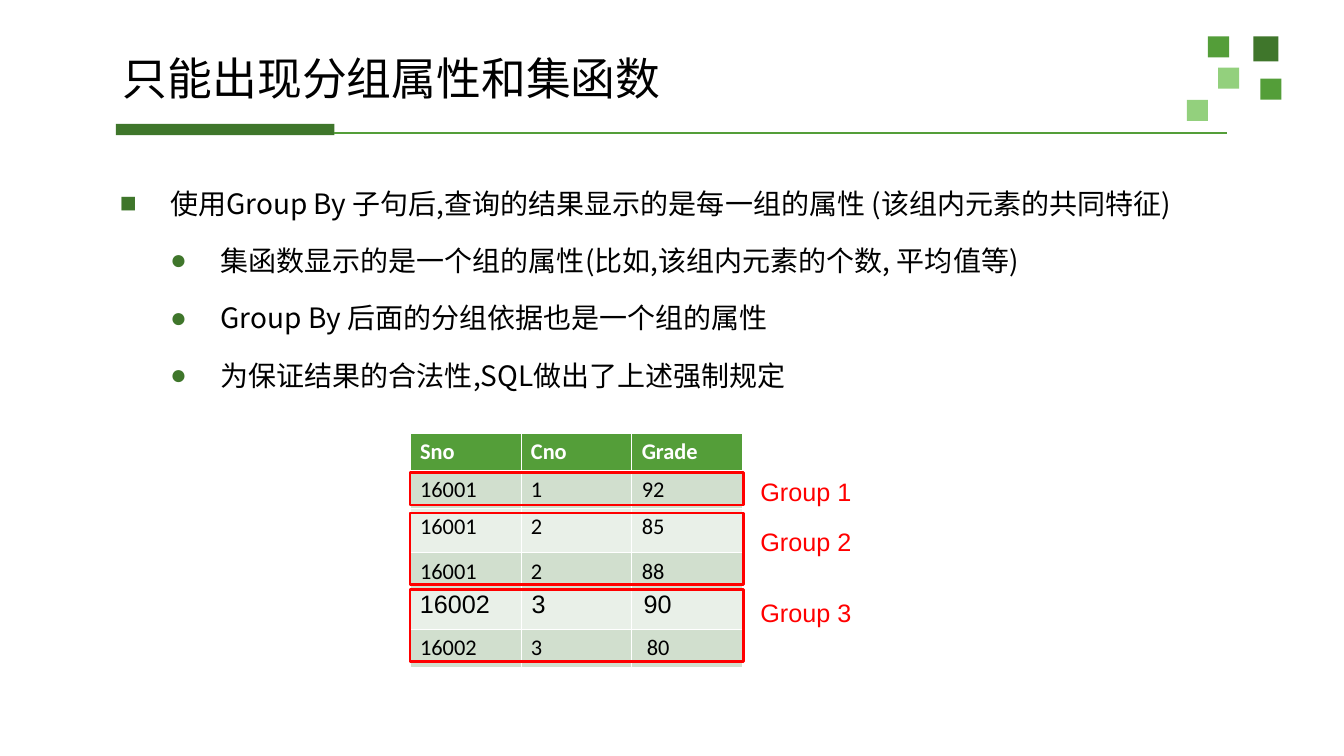
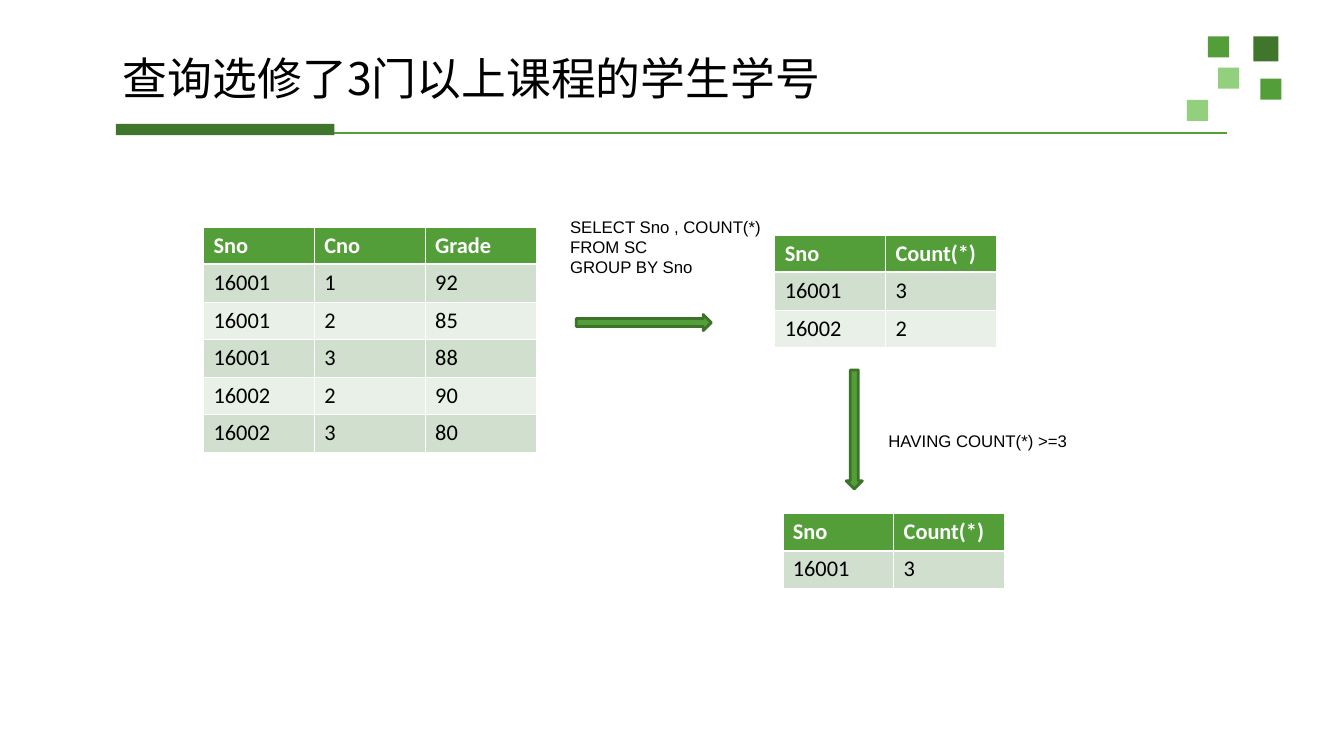
from dataclasses import dataclass

from lxml import etree
from pptx import Presentation
from pptx.dml.color import RGBColor
from pptx.enum import shapes as es, text as et
from pptx.oxml import ns
from pptx.util import Inches, Pt

DARK, GREEN, LIGHT = "3F762B", "549E39", "93D07D"
EDGE, RED, BLACK, WHITE = "3B7327", "FF0000", "000000", "FFFFFF"
BANDS = ("D1DFCE", "E9F0E8")
CJK = "Noto Sans CJK SC"
COL, ROW = 1.1, 0.37
HEAD = ("Sno", "Cno", "Grade")


@dataclass
class Square:
    left: float
    top: float
    size: float
    fill: str


@dataclass
class Group:
    name: str
    top: float
    high: float
    label: float


@dataclass
class Grid:
    left: float
    top: float
    rows: list[tuple[str, ...]]


@dataclass
class Arrow:
    kind: es.MSO_SHAPE
    box: tuple[float, float, float, float]


SQUARES = (
    Square(12.44, 0.36, 0.25, DARK),
    Square(11.99, 0.36, 0.21, GREEN),
    Square(12.51, 0.78, 0.21, GREEN),
    Square(12.09, 0.67, 0.21, LIGHT),
    Square(11.78, 0.99, 0.21, LIGHT),
)
GROUPS = (
    Group("Group 1", 4.69, 0.32, 4.68),
    Group("Group 2", 5.09, 0.71, 5.17),
    Group("Group 3", 5.85, 0.71, 5.88),
)
POINTS = (
    "使用Group By 子句后,查询的结果显示的是每一组的属性 (该组内元素的共同特征)",
    "集函数显示的是一个组的属性(比如,该组内元素的个数, 平均值等)",
    "Group By 后面的分组依据也是一个组的属性",
    "为保证结果的合法性,SQL做出了上述强制规定",
)
MARKED = Grid(4.07, 4.3, [
    HEAD, ("16001", "1", "92"), ("16001", "2", "85"), ("16001", "2", "88"),
    ("", "", ""), ("16002", "3", " 80")])
GRIDS = (
    Grid(2.02, 2.25, [
        HEAD, ("16001", "1", "92"), ("16001", "2", "85"), ("16001", "3", "88"),
        ("16002", "2", "90"), ("16002", "3", "80")]),
    Grid(7.69, 2.33, [("Sno", "Count(*)"), ("16001", "3"), ("16002", "2")]),
    Grid(7.77, 5.09, [("Sno", "Count(*)"), ("16001", "3")]),
)
ARROWS = (
    Arrow(es.MSO_SHAPE.RIGHT_ARROW, (5.72, 3.12, 1.34, 0.16)),
    Arrow(es.MSO_SHAPE.DOWN_ARROW, (8.4, 3.67, 0.16, 1.18)),
)


def color(code: str) -> RGBColor:
    return RGBColor.from_string(code)


def node(base, tag: str, **attrs: str):
    """Append a drawing element and return it."""
    return etree.SubElement(base, ns.qn(f"a:{tag}"), attrs)


def write(para, words: str, size: float = 18, font: str = "Arial",
          fill: str = BLACK, bold: bool = False, line: float = 1,
          before: float = 0) -> None:
    """Put one formatted run in a paragraph."""
    para.alignment = et.PP_ALIGN.LEFT
    para.line_spacing, para.space_before = line, Pt(before)
    run = para.add_run()
    run.text = words
    run.font.size, run.font.name, run.font.bold = Pt(size), font, bold
    run.font.color.rgb = color(fill)
    node(run.font._element, "ea", typeface=font)


def inset(frame, wide: float, high: float) -> None:
    frame.margin_left = frame.margin_right = Inches(wide)
    frame.margin_top = frame.margin_bottom = Inches(high)
    frame.word_wrap, frame.auto_size = True, et.MSO_AUTO_SIZE.NONE


def label(slide, box: tuple, *lines: str, **style):
    """Add a text box, one paragraph per line."""
    frame = slide.shapes.add_textbox(*map(Inches, box)).text_frame
    inset(frame, 0.1, 0.05)
    for i, words in enumerate(lines):
        para = frame.add_paragraph() if i else frame.paragraphs[0]
        write(para, words, **style)
    return frame


def shape(slide, kind, box: tuple, fill: str = "", edge: str = ""):
    item = slide.shapes.add_shape(kind, *map(Inches, box))
    item.shadow.inherit = False
    if fill:
        item.fill.solid()
        item.fill.fore_color.rgb = color(fill)
    else:
        item.fill.background()
    if edge:
        item.line.color.rgb, item.line.width = color(edge), Pt(2)
    else:
        item.line.fill.background()
    return item


def border(cell, sides: dict[str, float]) -> None:
    """Draw white cell borders; they come before the fill."""
    props = cell._tc.get_or_add_tcPr()
    for side, width in sides.items():
        line = node(props, side, w=str(Pt(width)))
        node(node(line, "solidFill"), "srgbClr", val=WHITE)


def table(slide, grid: Grid, tall: dict[int, float] | None = None) -> None:
    heights = [(tall or {}).get(i, ROW) for i in range(len(grid.rows))]
    cols = len(grid.rows[0])
    box = (grid.left, grid.top, COL * cols, sum(heights))
    tab = slide.shapes.add_table(len(heights), cols, *map(Inches, box)).table
    for i, row in enumerate(grid.rows):
        tab.rows[i].height = Inches(heights[i])
        for j, words in enumerate(row):
            cell, head = tab.cell(i, j), i == 0
            border(cell, {"lnL": 0.45, "lnR": 0.45,
                          "lnT": 1.47 if i == 1 else 0.45,
                          "lnB": 1.47 if head else 0.45})
            cell.fill.solid()
            cell.fill.fore_color.rgb = color(GREEN if head else BANDS[(i - 1) % 2])
            write(cell.text_frame.paragraphs[0], words, size=16, font="Calibri",
                  fill=WHITE if head else BLACK, bold=head)


def start(deck, words: str):
    """Add a slide with the shared title, rule and corner squares."""
    slide = deck.slides.add_slide(deck.slide_layouts[5])
    for sq in SQUARES:
        shape(slide, es.MSO_SHAPE.RECTANGLE,
              (sq.left, sq.top, sq.size, sq.size), sq.fill)
    shape(slide, es.MSO_SHAPE.RECTANGLE, (1.15, 1.23, 2.17, 0.11), DARK)
    rule = slide.shapes.add_connector(
        es.MSO_CONNECTOR.STRAIGHT, *map(Inches, (3.32, 1.32, 12.18, 1.32)))
    rule.line.color.rgb, rule.line.width = color(GREEN), Pt(2)
    node(rule._element.spPr, "effectLst")

    title = slide.shapes.title
    title.left, title.top, title.width, title.height = map(
        Inches, (1.14, 0.35, 11.28, 0.91))
    inset(title.text_frame, 0.08, 0.04)
    title.text_frame.vertical_anchor = et.MSO_ANCHOR.MIDDLE
    write(title.text_frame.paragraphs[0], words, size=32, font=CJK, line=0.9)
    return slide


def bullet(para, level: int) -> None:
    para.level = level
    props = para._p.get_or_add_pPr()
    props.set("marL", str(Inches(0.5 * (level + 1))))
    props.set("indent", str(Inches(-0.5)))
    node(node(props, "buClr"), "srgbClr", val=DARK)
    node(props, "buFont", typeface="Arial")
    node(props, "buChar", char="●" if level else "■")


def rules(deck) -> None:
    slide = start(deck, "只能出现分组属性和集函数")
    # Bulleted body
    body = label(slide, (1.11, 1.64, 11.31, 5.38), *POINTS,
                 size=20, font=CJK, line=1.5, before=5)
    inset(body, 0.08, 0.04)
    for i, para in enumerate(body.paragraphs):
        bullet(para, min(i, 1))
    body.paragraphs[0].space_before = Pt(10)

    # Table, with one row set on tab stops
    table(slide, MARKED, {2: 0.44, 4: 0.39})
    row = label(slide, (4.07, 5.79, 3.23, 0.4), "16002\t3\t90")
    tabs = node(row.paragraphs[0]._p.get_or_add_pPr(), "tabLst")
    for i in (1, 2):
        node(tabs, "tab", pos=str(Inches(1.11 * i)), algn="l")

    # Red frames and their names
    for group in GROUPS:
        shape(slide, es.MSO_SHAPE.RECTANGLE,
              (4.07, group.top, 3.31, group.high), edge=RED)
        label(slide, (7.45, group.label, 2.9, 0.4), group.name, fill=RED)


def query(deck) -> None:
    slide = start(deck, "查询选修了3门以上课程的学生学号")
    for grid in GRIDS:
        table(slide, grid)
    # Steps between the tables
    for arrow in ARROWS:
        item = shape(slide, arrow.kind, arrow.box, GREEN, EDGE)
        item.adjustments[0] = item.adjustments[1] = 0.5
    label(slide, (5.56, 2.1, 2.21, 0.7), "SELECT Sno , COUNT(*)", "FROM SC",
          "GROUP BY Sno", size=12)
    label(slide, (8.72, 4.22, 2.2, 0.3), "HAVING COUNT(*) >=3", size=12)


def main() -> None:
    deck = Presentation()
    deck.slide_width, deck.slide_height = Inches(13.34), Inches(7.5)
    rules(deck)
    query(deck)
    deck.save("out.pptx")


if __name__ == "__main__":
    main()
